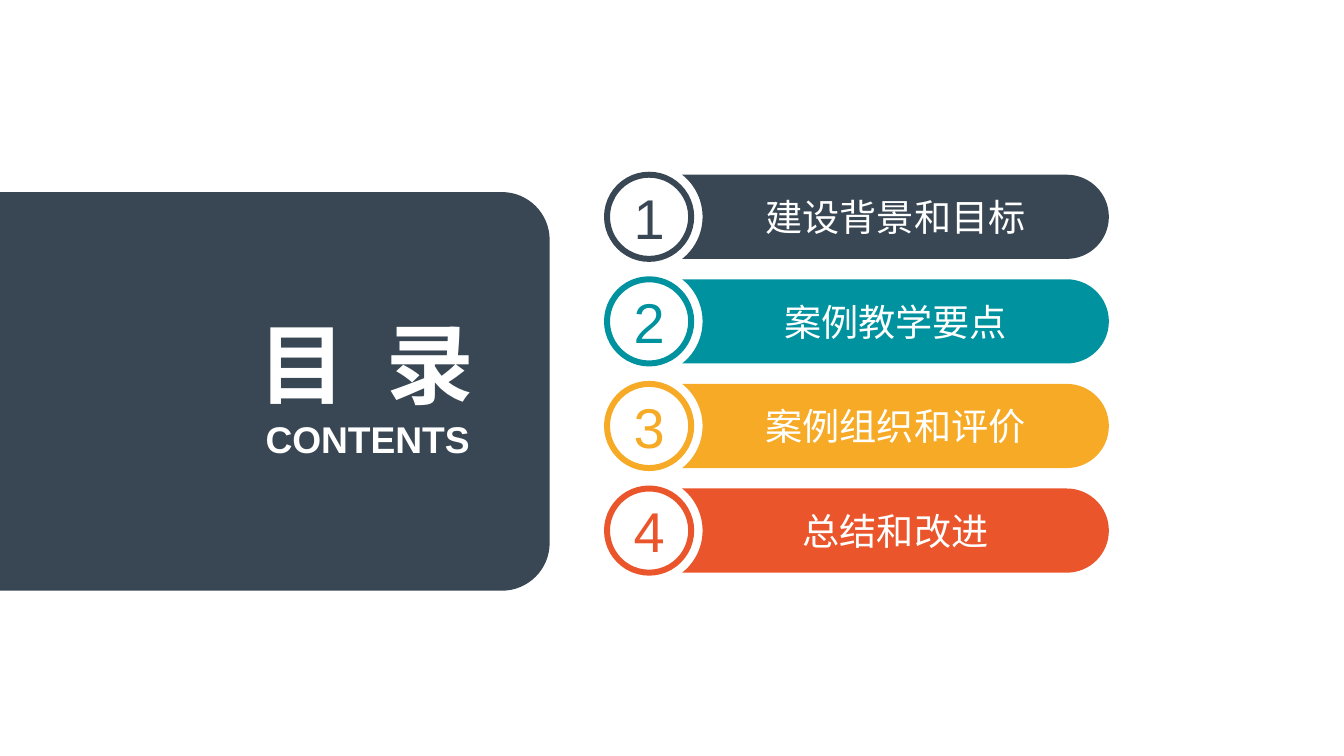
"""Build a contents slide with a title panel and four numbered entries."""
from itertools import chain
from math import asin, cos, degrees, radians, sin, tan

from lxml.etree import SubElement
from pptx import Presentation
from pptx.dml.color import RGBColor
from pptx.enum.shapes import MSO_SHAPE
from pptx.enum.text import MSO_ANCHOR, PP_ALIGN
from pptx.oxml.ns import qn
from pptx.util import Pt

SLATE = RGBColor(0x39, 0x47, 0x54)
TEAL = RGBColor(0x00, 0x93, 0x9F)
AMBER = RGBColor(0xF6, 0xAA, 0x26)
ORANGE = RGBColor(0xEA, 0x55, 0x2B)
WHITE = RGBColor(0xFF, 0xFF, 0xFF)

ENTRIES = [
    ("建设背景和目标", SLATE),
    ("案例教学要点", TEAL),
    ("案例组织和评价", AMBER),
    ("总结和改进", ORANGE),
]
HEADINGS = [
    ("目 录", 66, (163, 233.3, 226, 80), 7.5),
    ("CONTENTS", 28, (164.9, 313.2, 224, 33.8), 0),
]

SLIDE_W, SLIDE_H = 1012.3, 569.5
PANEL_TOP, PANEL_RIGHT, PANEL_BOTTOM, PANEL_RADIUS = 144.7, 414, 445, 36
FIRST_TOP, PITCH, ENTRY_H = 131.6, 78.8, 63.4
BADGE_LEFT, BAR_RIGHT, NOTCH_RADIUS = 457.2, 835.2, 40.3
UNITS = 100


def arc(cx, cy, radius, start, end, parts):
    """Return a line to the arc's start, then one cubic curve per part."""
    step = radians(end - start) / parts
    k = 4 / 3 * tan(step / 4)

    def point(a, reach):
        return (cx + radius * (cos(a) - reach * sin(a)),
                cy + radius * (sin(a) + reach * cos(a)))

    angles = [radians(start) + i * step for i in range(parts)]
    curves = [(point(a, k), point(a + step, -k), point(a + step, 0)) for a in angles]
    return [(point(angles[0], 0),)] + curves


def paint(s, fill, line=None):
    s.shadow.inherit = False
    s.fill.solid()
    s.fill.fore_color.rgb = fill
    if line is None:
        s.line.fill.background()
    else:
        s.line.color.rgb = line
        s.line.width = Pt(4.5)


def add_outline(shapes, steps, fill):
    points = [(x * UNITS, y * UNITS) for x, y in chain.from_iterable(steps)]
    builder = shapes.build_freeform(*points[0], scale=Pt(1) / UNITS)
    builder.add_line_segments(points[1:], close=True)
    s = builder.convert_to_shape()
    lines = iter(list(s._element.iter(qn("a:lnTo"))))
    for step in steps[1:]:
        group = [next(lines) for _ in step]
        if len(group) == 3:
            curve = SubElement(group[0].getparent(), qn("a:cubicBezTo"))
            group[0].addprevious(curve)
            for line in group:
                curve.append(line[0])
                line.getparent().remove(line)
    paint(s, fill)
    return s


def write(s, text, size, color, bold=False, spacing=0):
    tf = s.text_frame
    frame = dict(margin_left=0, margin_top=0, margin_right=0, margin_bottom=0,
                 word_wrap=True, vertical_anchor=MSO_ANCHOR.MIDDLE)
    for name, value in frame.items():
        setattr(tf, name, value)
    p = tf.paragraphs[0]
    p.alignment = PP_ALIGN.CENTER
    r = p.add_run()
    r.text = text
    for name, value in dict(name="Arial", size=Pt(size), bold=bold).items():
        setattr(r.font, name, value)
    r.font.color.rgb = color
    if spacing:
        r._r.get_or_add_rPr().set("spc", str(int(spacing * 100)))


def add_panel(shapes):
    cx = PANEL_RIGHT - PANEL_RADIUS
    steps = [((0, PANEL_TOP),)]
    steps += arc(cx, PANEL_TOP + PANEL_RADIUS, PANEL_RADIUS, -90, 0, 1)
    steps += arc(cx, PANEL_BOTTOM - PANEL_RADIUS, PANEL_RADIUS, 0, 90, 1)
    steps.append(((0, PANEL_BOTTOM),))
    add_outline(shapes, steps, SLATE)


def add_entry(shapes, index, text, color):
    top = FIRST_TOP + index * PITCH
    half = ENTRY_H / 2
    cy = top + half
    notch = degrees(asin(half / NOTCH_RADIUS))
    steps = arc(BAR_RIGHT - half, cy, half, -90, 90, 2)
    steps += arc(BADGE_LEFT + half, cy, NOTCH_RADIUS, notch, -notch, 2)
    write(add_outline(shapes, steps, color), text, 28, WHITE)

    badge = shapes.add_shape(MSO_SHAPE.OVAL, Pt(BADGE_LEFT), Pt(top),
                             Pt(ENTRY_H), Pt(ENTRY_H))
    paint(badge, WHITE, color)
    write(badge, str(index + 1), 42.2, color)


def main():
    prs = Presentation()
    prs.slide_width, prs.slide_height = Pt(SLIDE_W), Pt(SLIDE_H)
    shapes = prs.slides.add_slide(prs.slide_layouts[6]).shapes
    add_panel(shapes)
    for index, (text, color) in enumerate(ENTRIES):
        add_entry(shapes, index, text, color)
    for text, size, box, spacing in HEADINGS:
        s = shapes.add_textbox(*map(Pt, box))
        write(s, text, size, WHITE, bold=True, spacing=spacing)
    prs.save("out.pptx")


if __name__ == "__main__":
    main()
